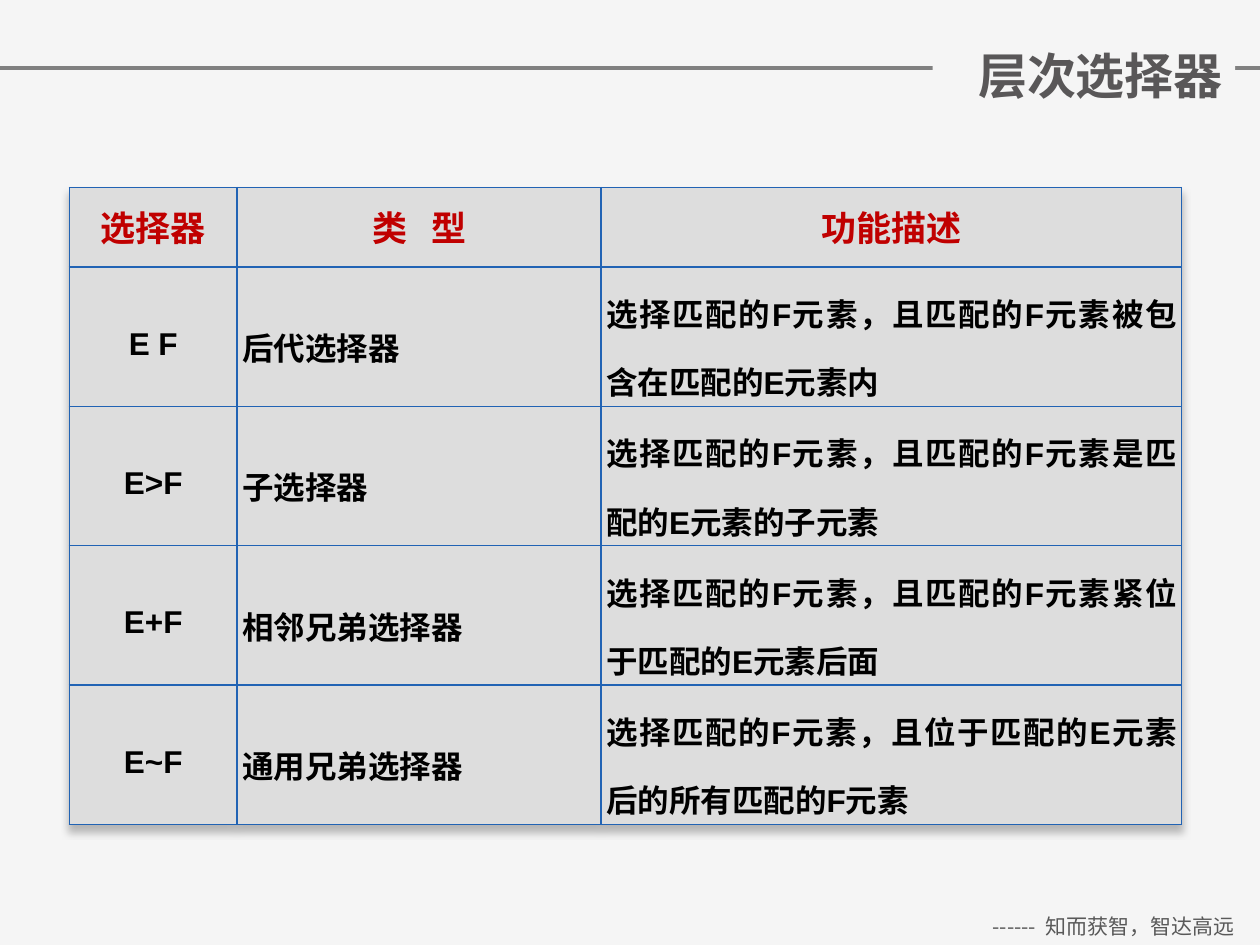
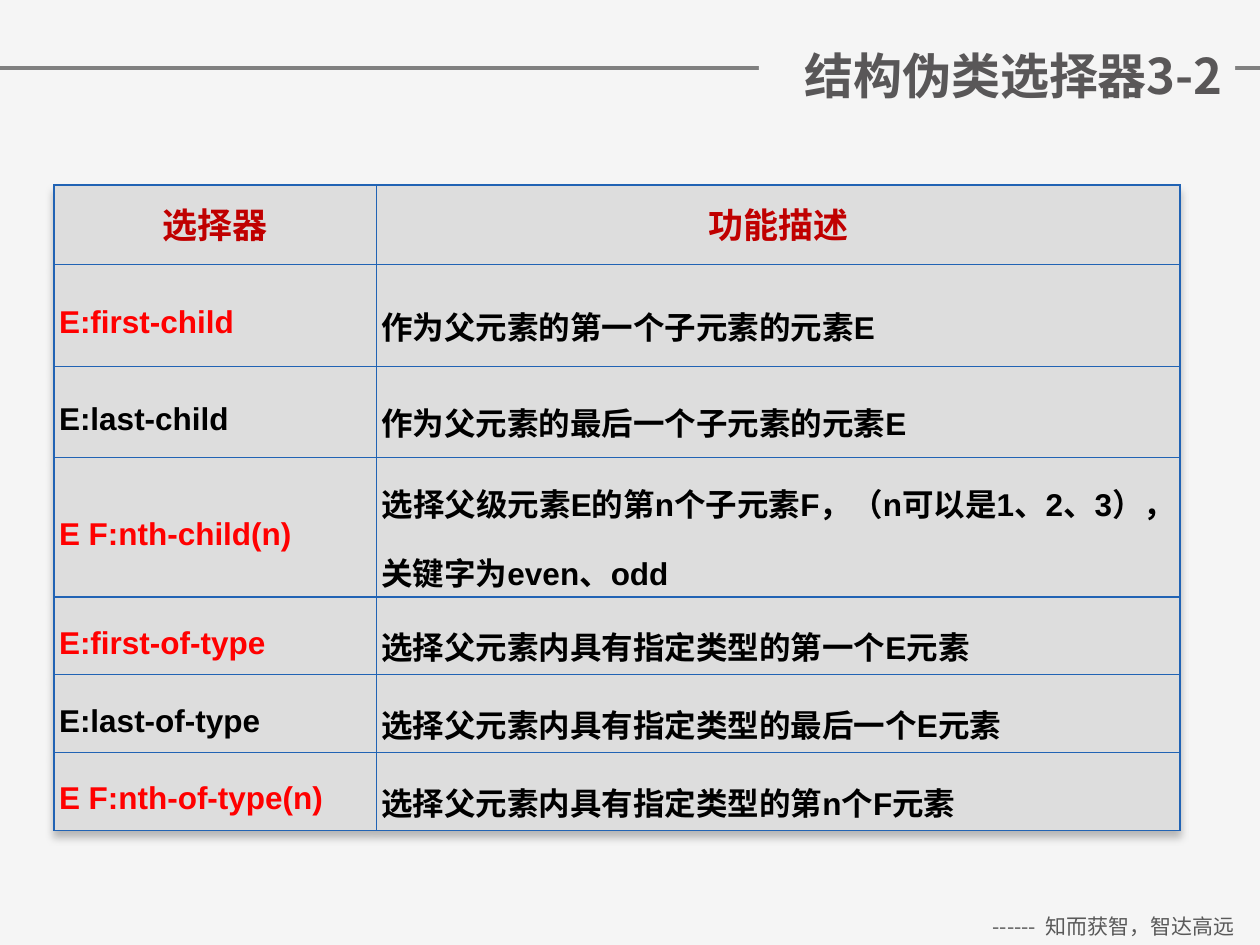
from dataclasses import dataclass
from lxml.etree import SubElement
from pptx import Presentation
from pptx.dml.color import RGBColor
from pptx.enum.shapes import MSO_CONNECTOR, MSO_SHAPE
from pptx.enum.text import MSO_ANCHOR, MSO_AUTO_SIZE, PP_ALIGN
from pptx.oxml.ns import qn
from pptx.util import Cm, Pt

CJK, LATIN = "Noto Sans CJK SC", "Arial"
PAPER, RULE, TITLE, FOOTER = "F5F5F5", "808080", "595758", "595959"
CELL, BORDER, HEADER, BLACK, RED = "DDDDDD", "2163B4", "C00000", "000000", "FF0000"
SLIDE_W, SLIDE_H, TITLE_RIGHT = 25.4, 19.05, 24.9


@dataclass
class Style:
    size: int
    color: str
    font: str = CJK
    bold: bool = True


@dataclass
class Row:
    height: float
    cells: list[str]
    key_color: str = BLACK


@dataclass
class SelectorSlide:
    title: str
    title_width: float
    left: float
    top: float
    widths: list[float]
    headings: list[str]
    rows: list[Row]
    key_align: PP_ALIGN


SLIDES = [
    SelectorSlide(
        "层次选择器", 6.1, 1.4, 3.78, [3.38, 7.34, 11.7],
        ["选择器", "类 型", "功能描述"],
        [
            Row(2.81, ["E F", "后代选择器", "选择匹配的F元素，且匹配的F元素被包含在匹配的E元素内"]),
            Row(2.81, ["E>F", "子选择器", "选择匹配的F元素，且匹配的F元素是匹配的E元素的子元素"]),
            Row(2.81, ["E+F", "相邻兄弟选择器", "选择匹配的F元素，且匹配的F元素紧位于匹配的E元素后面"]),
            Row(2.81, ["E~F", "通用兄弟选择器", "选择匹配的F元素，且位于匹配的E元素后的所有匹配的F元素"]),
        ],
        PP_ALIGN.CENTER,
    ),
    SelectorSlide(
        "结构伪类选择器3-2", 9.6, 1.09, 3.73, [6.5, 16.2],
        ["选择器", "功能描述"],
        [
            Row(2.06, ["E:first-child", "作为父元素的第一个子元素的元素E"], RED),
            Row(1.83, ["E:last-child", "作为父元素的最后一个子元素的元素E"]),
            Row(2.81, ["E F:nth-child(n)", "选择父级元素E的第n个子元素F，（n可以是1、2、3），关键字为even、odd"], RED),
            Row(1.57, ["E:first-of-type", "选择父元素内具有指定类型的第一个E元素"], RED),
            Row(1.57, ["E:last-of-type", "选择父元素内具有指定类型的最后一个E元素"]),
            Row(1.57, ["E F:nth-of-type(n)", "选择父元素内具有指定类型的第n个F元素"], RED),
        ],
        PP_ALIGN.JUSTIFY,
    ),
]


def rgb(value: str) -> RGBColor:
    return RGBColor.from_string(value)


def add_run(p, text: str, style: Style, tracking: float = 0) -> None:
    r = p.add_run()
    r.text = text
    r.font.size, r.font.bold = Pt(style.size), style.bold
    r.font.color.rgb = rgb(style.color)
    r.font.name = style.font
    rPr = r.font._element
    SubElement(rPr, qn("a:ea"), typeface=CJK)
    if tracking:
        rPr.set("spc", str(round(tracking * 100)))


def add_spaced(p, text: str, style: Style, gap: float) -> None:
    for part in text.partition(" "):
        if part:
            add_run(p, part, style, gap if part == " " else 0)


def add_frame(s, deck: SelectorSlide) -> None:
    s.background.fill.solid()
    s.background.fill.fore_color.rgb = rgb(PAPER)

    rule = s.shapes.add_connector(MSO_CONNECTOR.STRAIGHT, 0, Cm(1.37), Cm(SLIDE_W), Cm(1.37))
    rule.line.color.rgb = rgb(RULE)
    rule.line.width = Pt(2)
    SubElement(rule._element.spPr, qn("a:effectLst"))

    footer = s.shapes.add_textbox(Cm(19.5), Cm(18.29), Cm(5.9), Cm(0.76))
    tf = footer.text_frame
    tf.word_wrap = True
    p = tf.paragraphs[0]
    p.alignment = PP_ALIGN.CENTER
    add_spaced(p, "------ 知而获智，智达高远", Style(12, FOOTER, bold=False), 2.7)

    sp = s.shapes.add_shape(MSO_SHAPE.RECTANGLE, Cm(TITLE_RIGHT - deck.title_width), Cm(0.79),
                            Cm(deck.title_width), Cm(1.45))
    sp.shadow.inherit = False
    sp.fill.solid()
    sp.fill.fore_color.rgb = rgb(PAPER)
    sp.line.fill.background()
    tf = sp.text_frame
    tf.word_wrap = True
    tf.auto_size = MSO_AUTO_SIZE.SHAPE_TO_FIT_TEXT
    tf.vertical_anchor = MSO_ANCHOR.MIDDLE
    p = tf.paragraphs[0]
    p.alignment = PP_ALIGN.RIGHT
    add_run(p, deck.title, Style(28, TITLE))


def format_cell(cell, align: PP_ALIGN):
    cell.fill.solid()
    cell.fill.fore_color.rgb = rgb(CELL)
    cell.vertical_anchor = MSO_ANCHOR.MIDDLE
    cell.margin_left = cell.margin_right = Cm(0.1)
    cell.margin_top, cell.margin_bottom = 0, Cm(0.05)
    tcPr = cell._tc.get_or_add_tcPr()
    for i, side in enumerate(("a:lnL", "a:lnR", "a:lnT", "a:lnB")):
        ln = SubElement(tcPr, qn(side), w=str(Pt(1)))
        SubElement(SubElement(ln, qn("a:solidFill")), qn("a:srgbClr"), val=BORDER)
        tcPr.insert(i, ln)
    p = cell.text_frame.paragraphs[0]
    p.alignment = align
    return p


def add_table_shadow(table) -> None:
    tblPr = table._tbl.tblPr
    effects = SubElement(tblPr, qn("a:effectLst"))
    tblPr.insert(0, effects)
    shadow = SubElement(effects, qn("a:outerShdw"), blurRad=str(Pt(4)), dist=str(Pt(4)),
                        dir="5400000", algn="t", rotWithShape="0")
    color = SubElement(shadow, qn("a:srgbClr"), val=BLACK)
    SubElement(color, qn("a:alpha"), val="25000")


def add_selector_table(s, deck: SelectorSlide) -> None:
    heights = [1.6] + [row.height for row in deck.rows]
    table = s.shapes.add_table(len(heights), len(deck.widths), Cm(deck.left), Cm(deck.top),
                               Cm(sum(deck.widths)), Cm(sum(heights))).table
    add_table_shadow(table)
    for column, width in zip(table.columns, deck.widths):
        column.width = Cm(width)
    for row, height in zip(table.rows, heights):
        row.height = Cm(height)
    for c, heading in enumerate(deck.headings):
        p = format_cell(table.cell(0, c), PP_ALIGN.CENTER)
        p.space_before = Pt(4)
        add_spaced(p, heading, Style(20, HEADER), 9)
    for n, row in enumerate(deck.rows, 1):
        for c, text in enumerate(row.cells):
            p = format_cell(table.cell(n, c), PP_ALIGN.JUSTIFY if c else deck.key_align)
            p.line_spacing = 1.5
            add_run(p, text, Style(18, BLACK if c else row.key_color, LATIN))


def main() -> None:
    prs = Presentation()
    prs.slide_width, prs.slide_height = Cm(SLIDE_W), Cm(SLIDE_H)
    for deck in SLIDES:
        s = prs.slides.add_slide(prs.slide_layouts[6])
        add_frame(s, deck)
        add_selector_table(s, deck)
    prs.save("out.pptx")


if __name__ == "__main__":
    main()
